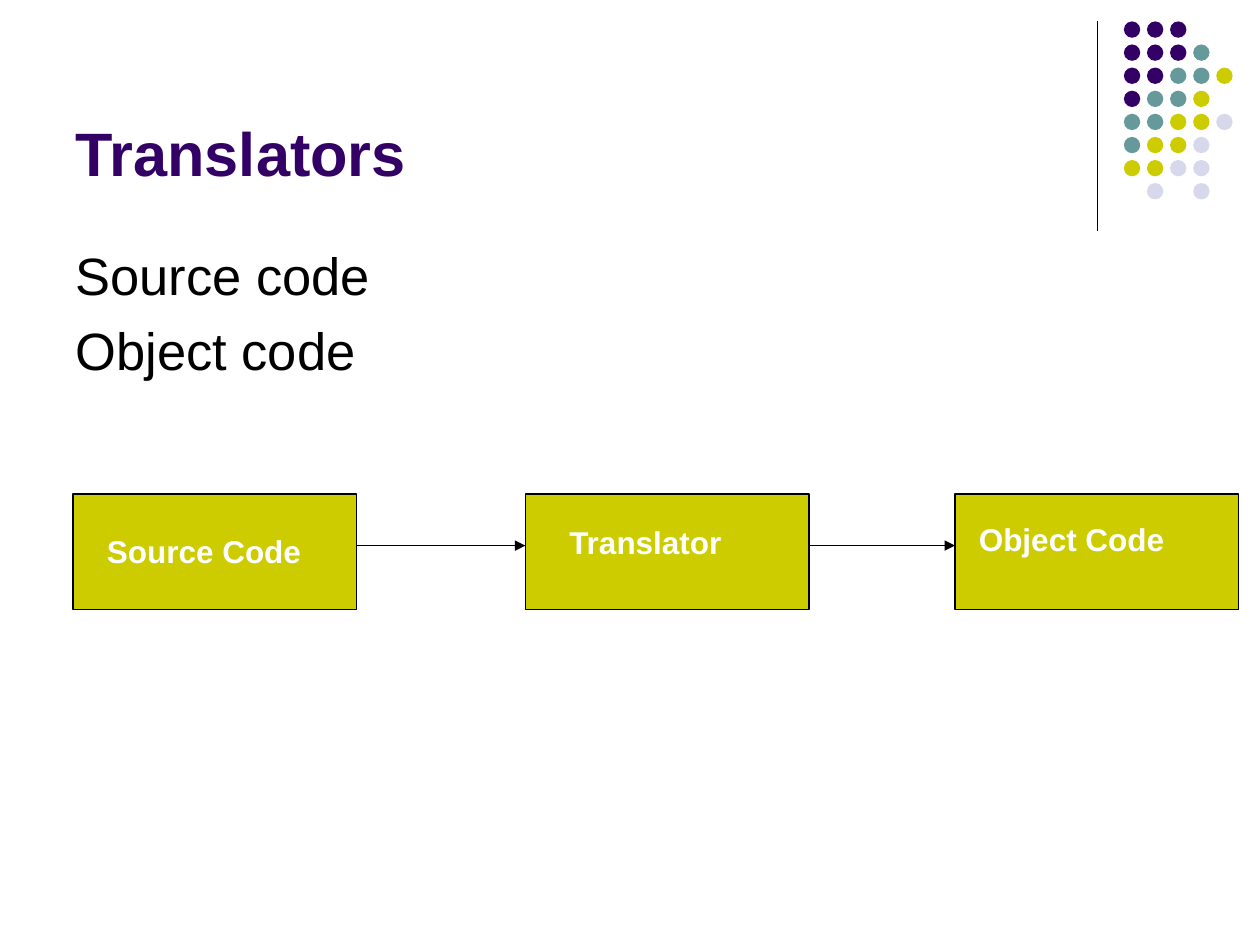
import pptx
import pptx.util
import pptx.dml.color
import pptx.enum.shapes
import pptx.enum.text
import pptx.oxml
import pptx.oxml.ns

Inches, Pt = pptx.util.Inches, pptx.util.Pt
RGBColor = pptx.dml.color.RGBColor
MSO_SHAPE = pptx.enum.shapes.MSO_SHAPE
ANCHOR = pptx.enum.text.MSO_ANCHOR
ALIGN = pptx.enum.text.PP_ALIGN
AUTO_SIZE = pptx.enum.text.MSO_AUTO_SIZE

PURPLE = RGBColor(0x33, 0x00, 0x66)
TEAL = RGBColor(0x66, 0x99, 0x99)
OLIVE = RGBColor(0xCC, 0xCC, 0x00)
LAVENDER = RGBColor(0xD8, 0xD8, 0xEC)
BLACK = RGBColor(0, 0, 0)
WHITE = RGBColor(0xFF, 0xFF, 0xFF)


class SlideBuilder:
    font = "Arial"
    line_width = Pt(0.75)

    def __init__(self, slide):
        self.slide = slide

    def element(self, parent, tag, **attrs):
        el = pptx.oxml.parse_xml(f"<{tag} {pptx.oxml.ns.nsdecls('a')}/>")
        for name, value in attrs.items():
            el.set(name, value)
        parent.append(el)

    def fill_text(self, tf, lines, size, color, bold=False, before=0):
        tf.word_wrap = True
        tf.text = "\n".join(lines)
        for p in tf.paragraphs:
            p.alignment = ALIGN.LEFT
            p.space_before = Pt(before)
            for r in p.runs:
                r.font.name = self.font
                r.font.size = Pt(size)
                r.font.bold = bold
                r.font.color.rgb = color

    def place(self, sp, x, y, w, h):
        sp.left, sp.top, sp.width, sp.height = map(Inches, (x, y, w, h))

    def title(self, text, x, y, w, h):
        sp = self.slide.shapes.title
        self.place(sp, x, y, w, h)
        self.fill_text(sp.text_frame, [text], 35, PURPLE, bold=True)
        sp.text_frame.vertical_anchor = ANCHOR.BOTTOM
        sp.text_frame.auto_size = AUTO_SIZE.NONE

    def body(self, lines, x, y, w, h):
        sp = self.slide.placeholders[1]
        self.place(sp, x, y, w, h)
        self.fill_text(sp.text_frame, lines, 30, BLACK, before=7)
        sp.text_frame.auto_size = AUTO_SIZE.NONE
        for p in sp.text_frame.paragraphs:
            pPr = p._p.get_or_add_pPr()
            pPr.set("marL", str(Inches(0.38)))
            pPr.set("indent", str(-Inches(0.38)))
            self.element(pPr, "a:buNone")

    def shape(self, kind, x, y, w, h, fill, outline=None):
        sp = self.slide.shapes.add_shape(kind, *map(Inches, (x, y, w, h)))
        sp.shadow.inherit = False
        sp.fill.solid()
        sp.fill.fore_color.rgb = fill
        if outline is None:
            sp.line.fill.background()
        else:
            sp.line.color.rgb = outline
            sp.line.width = self.line_width

    def line(self, x1, y1, x2, y2, arrow=False):
        cxn = self.slide.shapes.add_connector(
            pptx.enum.shapes.MSO_CONNECTOR.STRAIGHT,
            *map(Inches, (x1, y1, x2, y2)))
        cxn.line.color.rgb = BLACK
        cxn.line.width = self.line_width
        if arrow:
            self.element(cxn.line._get_or_add_ln(), "a:tailEnd", type="triangle")
        self.element(cxn._element.spPr, "a:effectLst")

    def label(self, text, x, y, w, h):
        sp = self.slide.shapes.add_textbox(*map(Inches, (x, y, w, h)))
        self.fill_text(sp.text_frame, [text], 18, WHITE, bold=True)
        sp.text_frame.auto_size = AUTO_SIZE.SHAPE_TO_FIT_TEXT


prs = pptx.Presentation()
prs.slide_width, prs.slide_height = Inches(10), Inches(7.5)
s = SlideBuilder(prs.slides.add_slide(prs.slide_layouts[1]))

# Corner decoration: rule and dot grid
s.line(8.71, 0.17, 8.71, 1.83)
DOT_COLORS = {"P": PURPLE, "T": TEAL, "O": OLIVE, "L": LAVENDER}
DOT_ROWS = ["PPP", "PPPT", "PPTTO", "PTTO", "TTOOL", "TOOL", "OOLL", " L L"]
DOT_PITCH = 0.55 / 3
for row, codes in enumerate(DOT_ROWS):
    for col, code in enumerate(codes):
        if code in DOT_COLORS:
            s.shape(MSO_SHAPE.OVAL, 8.92 + col * DOT_PITCH,
                    0.17 + row * DOT_PITCH, 0.13, 0.13, DOT_COLORS[code])

# Title and list
s.title("Translators", 0.5, 0.13, 8.25, 1.42)
s.body(["Source code", "Object code"], 0.5, 1.88, 9, 4.82)

# Translation flow: boxes, then arrows between neighbours
BOX_LEFTS = [0.58, 4.17, 7.58]
BOX_W = 2.25
for x in BOX_LEFTS:
    s.shape(MSO_SHAPE.RECTANGLE, x, 3.92, BOX_W, 0.92, OLIVE, BLACK)
for x, next_x in zip(BOX_LEFTS, BOX_LEFTS[1:]):
    s.line(x + BOX_W, 4.33, next_x, 4.33, arrow=True)

# Box labels
for text, x, y, w in [("Source Code", 0.75, 4.17, 1.83),
                      ("Translator", 4.42, 4.1, 1.83),
                      ("Object Code", 7.67, 4.08, 2.08)]:
    s.label(text, x, y, w, 0.4)

prs.save("out.pptx")
